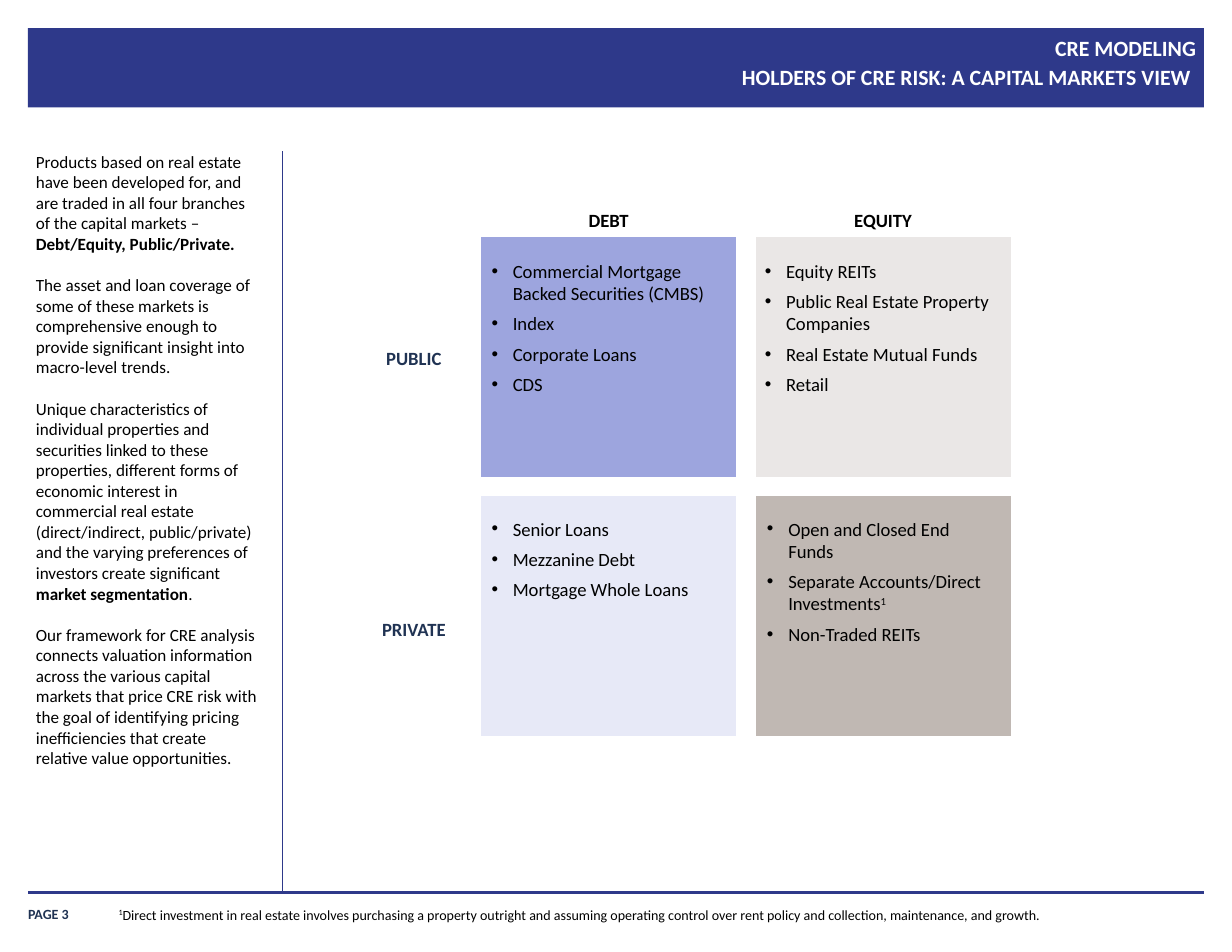
from dataclasses import dataclass

from lxml.etree import SubElement
from pptx import Presentation
from pptx.dml.color import RGBColor
from pptx.enum.shapes import MSO_CONNECTOR, MSO_SHAPE
from pptx.enum.text import MSO_ANCHOR, PP_ALIGN
from pptx.oxml.ns import qn
from pptx.util import Inches, Pt


@dataclass(frozen=True)
class Theme:
    font: str = "Calibri"
    navy: str = "2E398A"
    ink: str = "203353"
    black: str = "000000"
    white: str = "FFFFFF"
    blue: str = "9DA5DE"
    pale: str = "E7E9F7"
    sand: str = "EAE7E6"
    taupe: str = "C0B8B3"
    title: int = 14
    label: int = 12
    body: int = 11
    note: int = 9


THEME = Theme()
INSET = (0.1, 0.05, 0.1, 0.05)

SIDE = [
    [("Products based on real estate have been developed for, and are traded "
      "in all four branches of the capital markets – ", ""),
     ("Debt/Equity, Public/Private.", "bold")],
    [("The asset and loan coverage of some of these markets is comprehensive "
      "enough to provide significant insight into macro-level trends.", "")],
    [("Unique characteristics of individual properties and securities linked "
      "to these properties, different forms of economic interest in commercial "
      "real estate (direct/indirect, public/private) and the varying "
      "preferences of investors create significant ", ""),
     ("market segmentation", "bold"), (".", "")],
    [("Our framework for CRE analysis connects valuation information "
      "across the various capital markets that price CRE risk with the goal of "
      "identifying pricing inefficiencies that create relative value "
      "opportunities.", "")],
]
NOTE = [[("1", "super"),
         ("Direct investment in real estate involves purchasing a property "
          "outright and assuming operating control over rent policy and "
          "collection, maintenance, and growth.", "")]]

# Each row: label, its left, top and width, then the debt and equity cells
ROWS = [
    (("PUBLIC", 3.32, 3.06, 0.75), [
        (THEME.blue, 4.29, 2.27, 2.29,
         ["Commercial Mortgage Backed Securities (CMBS)", "Index",
          "Corporate Loans", "CDS"]),
        (THEME.sand, 6.73, 2.27, 2.31,
         ["Equity REITs", "Public Real Estate Property Companies",
          "Real Estate Mutual Funds", "Retail"])]),
    (("PRIVATE", 3.3, 5.48, 0.79), [
        (THEME.pale, 4.29, 4.57, 2.29,
         ["Senior Loans", "Mezzanine Debt", "Mortgage Whole Loans"]),
        (THEME.taupe, 6.75, 4.57, 2.27,
         ["Open and Closed End Funds",
          [("Separate Accounts/Direct Investments", ""), ("1", "super")],
          "Non-Traded REITs"])]),
]
HEADS = [("DEBT", 4.77), ("EQUITY", 7.22)]
LEFT, TOP, WIDE, HIGH = 4.29, 2.11, 2.29, 2.16
STEP_X, STEP_Y = 2.45, 2.31


def apply(item, values):
    for name, value in values.items():
        setattr(item, name, value)


def add_rect(slide, box, fill, edge=None):
    shape = slide.shapes.add_shape(MSO_SHAPE.RECTANGLE, *map(Inches, box))
    shape.shadow.inherit = False
    shape.fill.solid()
    shape.fill.fore_color.rgb = RGBColor.from_string(fill)
    if edge:
        shape.line.color.rgb = RGBColor.from_string(edge)
        shape.line.width = Pt(1)
    else:
        shape.line.fill.background()


def add_rule(slide, ends, width):
    line = slide.shapes.add_connector(MSO_CONNECTOR.STRAIGHT,
                                      *map(Inches, ends))
    line.line.color.rgb = RGBColor.from_string(THEME.navy)
    line.line.width = Pt(width)
    SubElement(line._element.spPr, qn("a:effectLst"))


def add_bullet(para):
    props = para._p.get_or_add_pPr()
    props.set("marL", str(Inches(0.19)))
    props.set("indent", str(-Inches(0.19)))
    SubElement(props, qn("a:buFont")).set("typeface", "Arial")
    SubElement(props, qn("a:buChar")).set("char", "•")


def add_run(para, text, style, look):
    run = para.add_run()
    run.text = text
    apply(run.font, {"name": THEME.font, **look})
    if style == "bold":
        run.font.bold = True
    elif style == "super":
        run._r.get_or_add_rPr().set("baseline", "30000")


def add_text(slide, box, paras, size, color=THEME.black, bold=False,
             inset=INSET, anchor=MSO_ANCHOR.TOP, bullet=False, gap=0, **form):
    """Place paragraphs, each a string or a list of (text, style) runs.

    gap is the space before every paragraph but the first; form holds
    further paragraph values.
    """
    frame = slide.shapes.add_textbox(*map(Inches, box)).text_frame
    sides = ("left", "top", "right", "bottom")
    apply(frame, {f"margin_{side}": Inches(pad)
                  for side, pad in zip(sides, inset)})
    apply(frame, {"word_wrap": True, "vertical_anchor": anchor})
    for i, runs in enumerate(paras):
        para = frame.add_paragraph() if i else frame.paragraphs[0]
        if gap and i:
            para.space_before = Pt(gap)
        apply(para, form)
        if bullet:
            add_bullet(para)
        if isinstance(runs, str):
            runs = [(runs, "")]
        for text, style in runs:
            if style == "break":
                para.add_line_break()
                continue
            add_run(para, text, style, {"size": Pt(size), "bold": bold})
        for run in para.runs:
            run.font.color.rgb = RGBColor.from_string(color)


def add_grid(slide):
    for text, left in HEADS:
        add_text(slide, (left, 1.82, 1.33, 0.3), [text], THEME.label,
                 bold=True, alignment=PP_ALIGN.CENTER)
    for i, ((name, left, top, wide), cells) in enumerate(ROWS):
        add_text(slide, (left, top, wide, 0.28), [name], THEME.label,
                 THEME.ink, True, inset=(0.04,) * 4,
                 alignment=PP_ALIGN.CENTER, space_after=Pt(3))
        for j, (fill, x, y, width, items) in enumerate(cells):
            add_rect(slide, (LEFT + j * STEP_X, TOP + i * STEP_Y, WIDE, HIGH),
                     fill, THEME.white)
            add_text(slide, (x, y, width, 1.59), items, THEME.label,
                     bullet=True, space_after=Pt(5))


def add_frame(slide):
    """Draw the title band, rules, page number and footnote."""
    flush = (0,) * 4
    add_rect(slide, (0.25, 0.25, 10.5, 0.71), THEME.navy)
    title = [("CRE MODELING", ""), ("", "break"),
             ("HOLDERS OF CRE RISK: A CAPITAL MARKETS VIEW ", "")]
    add_text(slide, (3.17, 0.29, 7.51, 0.67), [title], THEME.title,
             THEME.white, True, inset=flush, alignment=PP_ALIGN.RIGHT,
             line_spacing=1.1)
    add_rule(slide, (0.25, 7.97, 10.75, 7.97), 2.25)
    add_rule(slide, (2.52, 1.35, 2.52, 7.98), 0.5)
    add_text(slide, (0.25, 8.01, 0.91, 0.23), ["PAGE 3"], THEME.note,
             THEME.ink, True, inset=flush, anchor=MSO_ANCHOR.BOTTOM)
    add_text(slide, (0.96, 8.04, 8.58, 0.25), NOTE, THEME.note)


def main():
    deck = Presentation()
    apply(deck, {"slide_width": Inches(11), "slide_height": Inches(8.5)})
    slide = deck.slides.add_slide(deck.slide_layouts[6])
    add_frame(slide)
    add_text(slide, (0.32, 1.35, 2.01, 5.65), SIDE, THEME.body,
             inset=(0,) * 4, gap=13.3)
    add_grid(slide)
    deck.save("out.pptx")


if __name__ == "__main__":
    main()
